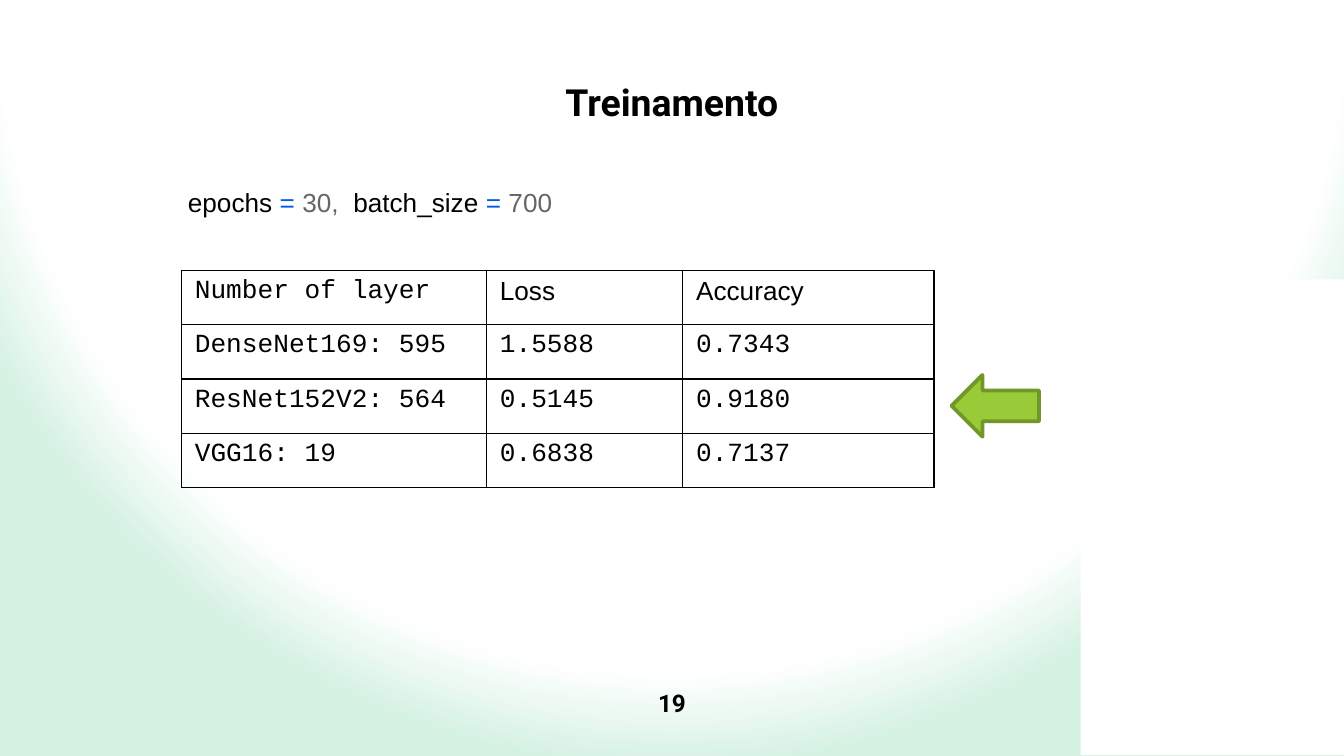
from lxml import etree
from pptx import Presentation
from pptx.dml.color import RGBColor
from pptx.enum import shapes, text
from pptx.oxml import parse_xml
from pptx.oxml.ns import nsdecls, qn
from pptx.util import Inches, Pt

BLACK = RGBColor(0x00, 0x00, 0x00)
WHITE = RGBColor(0xFF, 0xFF, 0xFF)
MINT = RGBColor(0xD4, 0xF1, 0xE2)
BLUE = RGBColor(0x05, 0x5B, 0xE0)
GRAY = RGBColor(0x66, 0x66, 0x66)
GREEN = RGBColor(0x99, 0xCB, 0x38)
DARK_GREEN = RGBColor(0x71, 0x96, 0x29)

TITLE = "Treinamento"
PAGE_NUMBER = "19"
PARAMETERS = [
    ("epochs ", BLACK), ("= ", BLUE), ("30,  ", GRAY),
    ("batch_size ", BLACK), ("= ", BLUE), ("700", GRAY),
]
RESULTS = [
    ("Number of layer", "Loss", "Accuracy"),
    ("DenseNet169: 595", "1.5588", "0.7343"),
    ("ResNet152V2: 564", "0.5145", "0.9180"),
    ("VGG16: 19", "0.6838", "0.7137"),
]
ARIAL_CELLS = {"Loss", "Accuracy"}
COLUMN_WIDTHS = (2.27, 1.46, 1.87)
TABLE_HEIGHT = 1.62
GRADIENT_STOPS = ((0, WHITE), (87, WHITE), (100, MINT))


def inches(*lengths):
    return [Inches(length) for length in lengths]


def add_run(paragraph, words, font, size, color=BLACK, bold=False):
    run = paragraph.add_run()
    run.text = words
    run.font.name = font
    run.font.size = Pt(size)
    run.font.color.rgb = color
    run.font.bold = bold


def set_frame(frame, anchor):
    """Remove the insets and fix the anchor of a text frame."""
    frame.margin_left = frame.margin_right = 0
    frame.margin_top = frame.margin_bottom = 0
    frame.word_wrap = True
    frame.auto_size = text.MSO_AUTO_SIZE.NONE
    frame.vertical_anchor = anchor


def set_background(slide):
    """Radial gradient centred above the top edge of the slide."""
    slide.background.fill.solid()
    solid = slide.element.find(".//" + qn("p:bgPr")).find(qn("a:solidFill"))
    stops = "".join(
        f'<a:gs pos="{percent * 1000}"><a:srgbClr val="{color}"/></a:gs>'
        for percent, color in GRADIENT_STOPS)
    gradient = parse_xml(
        f'<a:gradFill {nsdecls("a")} rotWithShape="1"><a:gsLst>{stops}</a:gsLst>'
        '<a:path path="circle">'
        '<a:fillToRect l="50000" t="-80000" r="50000" b="180000"/>'
        '</a:path></a:gradFill>')
    solid.getparent().replace(solid, gradient)


def set_borders(cell):
    properties = cell._tc.get_or_add_tcPr()
    for index, side in enumerate(("lnL", "lnR", "lnT", "lnB")):
        line = etree.Element(qn("a:" + side), w=str(Pt(0.75)))
        fill = etree.SubElement(line, qn("a:solidFill"))
        etree.SubElement(fill, qn("a:srgbClr"), val=str(BLACK))
        properties.insert(index, line)


def add_results(slide):
    table = slide.shapes.add_table(
        len(RESULTS), len(COLUMN_WIDTHS),
        *inches(1.35, 2.01, sum(COLUMN_WIDTHS), TABLE_HEIGHT)).table
    table.first_row = table.horz_banding = False
    for column, width in zip(table.columns, COLUMN_WIDTHS):
        column.width = Inches(width)
    for row, values in zip(table.rows, RESULTS):
        for cell, value in zip(row.cells, values):
            cell.fill.background()
            set_borders(cell)
            font = "Arial" if value in ARIAL_CELLS else "Courier New"
            add_run(cell.text_frame.paragraphs[0], value, font, 14)


def main():
    deck = Presentation()
    deck.slide_width = Inches(10)
    deck.slide_height = deck.slide_width * 9 // 16
    slide = deck.slides.add_slide(deck.slide_layouts[5])
    set_background(slide)

    panel = slide.shapes.add_shape(
        shapes.MSO_SHAPE.RECTANGLE, *inches(8.04, 2.08, 1.96, 3.54))
    panel.shadow.inherit = False
    panel.fill.solid()
    panel.fill.fore_color.rgb = WHITE
    panel.line.fill.background()

    title = slide.shapes.title
    title.left, title.top, title.width, title.height = inches(1.36, 0.5, 7.28, 0.43)
    set_frame(title.text_frame, text.MSO_ANCHOR.BOTTOM)
    heading = title.text_frame.paragraphs[0]
    heading.alignment = text.PP_ALIGN.CENTER
    heading.line_spacing = 0.9
    add_run(heading, TITLE, "Roboto", 20, bold=True)

    page = slide.shapes.add_textbox(*inches(4.7, 4.83, 0.6, 0.8)).text_frame
    set_frame(page, text.MSO_ANCHOR.MIDDLE)
    page.paragraphs[0].alignment = text.PP_ALIGN.CENTER
    add_run(page.paragraphs[0], PAGE_NUMBER, "Roboto", 13, bold=True)

    parameters = slide.shapes.add_textbox(*inches(1.3, 1.34, 3, 0.34)).text_frame
    parameters.word_wrap = True
    parameters.auto_size = text.MSO_AUTO_SIZE.SHAPE_TO_FIT_TEXT
    for words, color in PARAMETERS:
        add_run(parameters.paragraphs[0], words, "Arial", 14, color)

    add_results(slide)

    best_arrow = slide.shapes.add_shape(
        shapes.MSO_SHAPE.LEFT_ARROW, *inches(7.08, 2.79, 0.65, 0.46))
    best_arrow.shadow.inherit = False
    best_arrow.fill.solid()
    best_arrow.fill.fore_color.rgb = GREEN
    best_arrow.line.color.rgb = DARK_GREEN
    best_arrow.line.width = Pt(2)

    deck.save("out.pptx")


if __name__ == "__main__":
    main()
